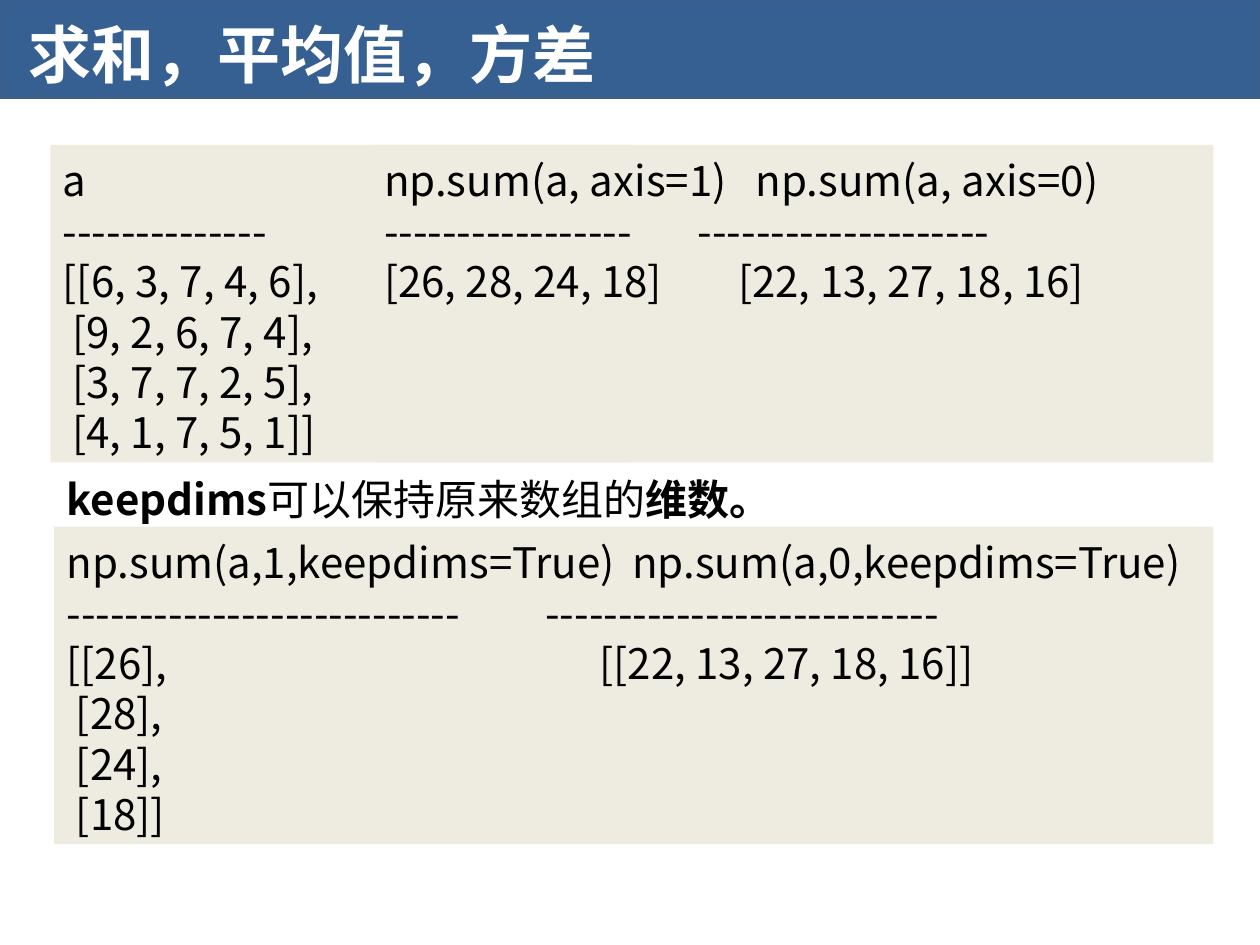
"""Build a slide on sums along the axes of an array."""
import pptx
import pptx.util
import pptx.dml.color
import pptx.enum.shapes
import pptx.enum.text
import pptx.oxml.ns
import lxml.etree

HUES = {"band": "376092", "edge": "3A5F8C", "sand": "EEECE1",
        "ink": "000000", "white": "FFFFFF"}
FACE = "Noto Sans CJK SC"
COLS, ROWS = 100, 75


def hue(name):
    """Return a named colour."""
    return pptx.dml.color.RGBColor.from_string(HUES[name])


def write(frame, lines, size=24, tint="ink", tabs=()):
    """Fill a frame with lines, each a list of (text, bold) runs."""
    frame.word_wrap = True
    frame.auto_size = pptx.enum.text.MSO_AUTO_SIZE.NONE
    frame.vertical_anchor = pptx.enum.text.MSO_ANCHOR.TOP
    frame.margin_left = frame.margin_right = pptx.util.Inches(0.1)
    frame.margin_top = pptx.util.Inches(0.08)
    frame.margin_bottom = 0
    name = pptx.oxml.ns.qn
    for row, runs in enumerate(lines):
        para = frame.add_paragraph() if row else frame.paragraphs[0]
        para.alignment = pptx.enum.text.PP_ALIGN.LEFT
        para.line_spacing = pptx.util.Pt(size * 1.2)
        para.space_before = pptx.util.Pt(0)
        if row < len(tabs):
            stops = lxml.etree.SubElement(para._p.get_or_add_pPr(), name("a:tabLst"))
            lxml.etree.SubElement(stops, name("a:tab"), algn="l",
                                  pos=str(pptx.util.Inches(tabs[row])))
        for text, bold in runs:
            run = para.add_run()
            run.text = text
            run.font.size = pptx.util.Pt(size)
            run.font.bold = bold
            run.font.name = FACE
            run.font.color.rgb = hue(tint)
            lxml.etree.SubElement(run.font._element, name("a:ea"), typeface=FACE)


class Page:
    """Hold the deck, the current slide and its grid."""

    def __init__(self):
        """Start a deck with one title-only slide."""
        self.deck = pptx.Presentation()
        self.deck.slide_width = pptx.util.Inches(10)
        self.deck.slide_height = pptx.util.Inches(7.5)
        self.slide = self.deck.slides.add_slide(self.deck.slide_layouts[5])

    def place(self, left, top, wide, high):
        """Turn columns and rows into lengths."""
        col = self.deck.slide_width / COLS
        row = self.deck.slide_height / ROWS
        return [round(n) for n in (left * col, top * row, wide * col, high * row)]

    def title(self, text, *box):
        """Move and fill the title."""
        head = self.slide.shapes.title
        head.left, head.top, head.width, head.height = self.place(*box)
        write(head.text_frame, [[(text, True)]], size=36, tint="white")

    def block(self, fill, *box):
        """Add a plain filled block."""
        kind = pptx.enum.shapes.MSO_SHAPE.RECTANGLE
        shape = self.slide.shapes.add_shape(kind, *self.place(*box))
        shape.shadow.inherit = False
        shape.fill.solid()
        shape.fill.fore_color.rgb = hue(fill)
        shape.line.fill.background()
        return shape

    def band(self, *box):
        """Add the edged band behind the title."""
        shape = self.block("band", *box)
        shape.line.color.rgb = hue("edge")
        shape.line.width = pptx.util.Pt(2)
        self.slide.shapes.title.element.addprevious(shape.element)

    def code(self, lines, *box, tabs=()):
        """Add a panel of code lines."""
        shape = self.block("sand", *box)
        write(shape.text_frame, [[(line, False)] for line in lines], tabs=tabs)

    def note(self, runs, *box):
        """Add a line of mixed runs."""
        shape = self.slide.shapes.add_textbox(*self.place(*box))
        write(shape.text_frame, [runs])


page = Page()
page.title("求和，平均值，方差", 1.3, 0.4, 67.6, 7.1)
page.band(0, 0, COLS, 7.7)
page.code(["a", "-" * 14, "[[6, 3, 7, 4, 6],", " [9, 2, 6, 7, 4],",
           " [3, 7, 7, 2, 5],", " [4, 1, 7, 5, 1]]"], 4, 11.5, 46, 25.2)
page.code(["np.sum(a, axis=1)\tnp.sum(a, axis=0)",
           "-" * 17 + "\t" + "-" * 20,
           "[26, 28, 24, 18]\t[22, 13, 27, 18, 16]"],
          29.5, 11.5, 66.8, 25.2, tabs=(2.95, 2.49, 2.81))
page.note([("keepdims", True), ("可以保持原来数组的", False), ("维数。", True)],
          4.3, 36.8, 92, 5)
page.code(["np.sum(a,1,keepdims=True)\tnp.sum(a,0,keepdims=True)",
           "-" * 27 + "\t" + "-" * 27,
           "[[26],\t[[22, 13, 27, 18, 16]]", " [28],", " [24],", " [18]]"],
          4.3, 41.8, 92, 25.2, tabs=(4.49, 3.8, 4.23))
page.deck.save("out.pptx")
